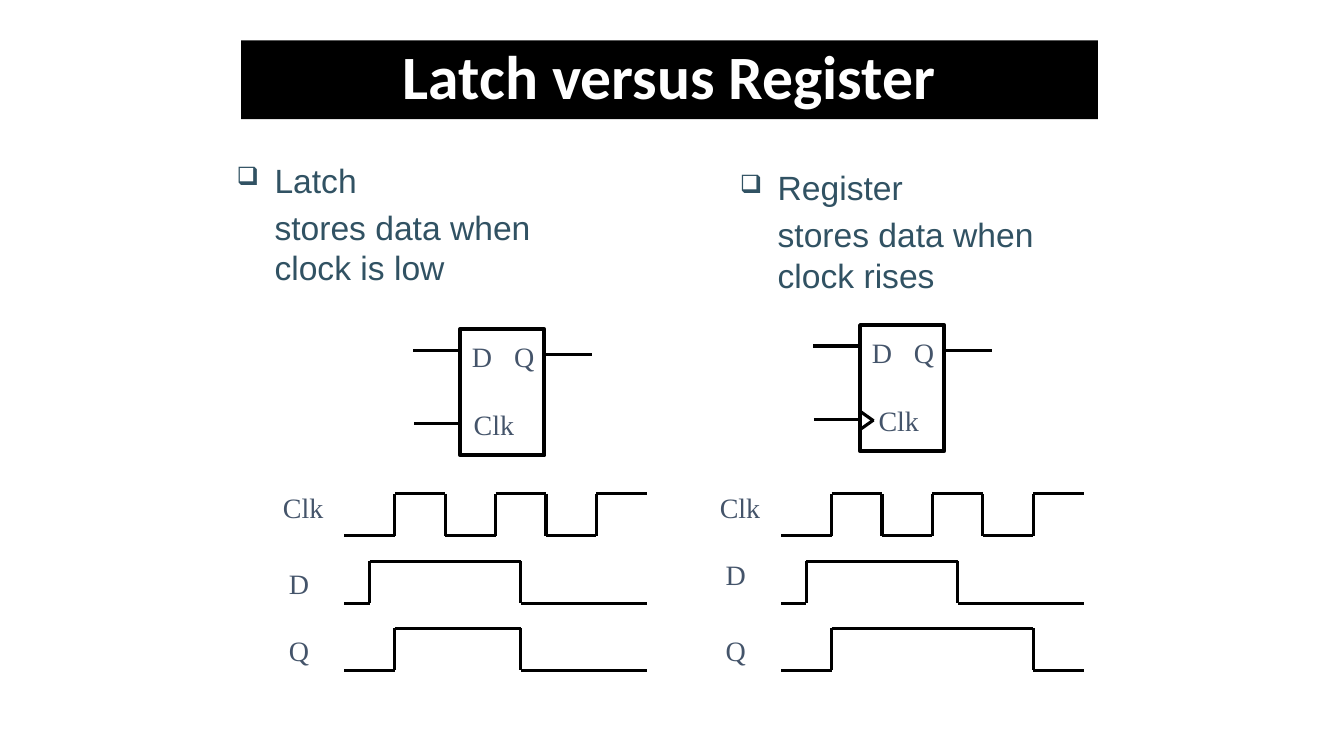
import dataclasses
import itertools

import lxml.etree
import pptx
import pptx.dml.color
import pptx.enum.shapes
import pptx.enum.text
import pptx.oxml.ns
import pptx.util

Pt = pptx.util.Pt
RGB = pptx.dml.color.RGBColor.from_string
ALIGN = pptx.enum.text.PP_ALIGN
ANCHOR = pptx.enum.text.MSO_ANCHOR
FIT = pptx.enum.text.MSO_AUTO_SIZE
qn = pptx.oxml.ns.qn


# Colours, fonts and line weights
@dataclasses.dataclass(frozen=True)
class Theme:
    ink: str = "000000"
    bullet: str = "315263"
    title: dict = dataclasses.field(default_factory=lambda: dict(
        name="Calibri", size=Pt(44), bold=True, color="FFFFFF"))
    body: dict = dataclasses.field(default_factory=lambda: dict(
        name="Arial", size=Pt(24), color="315263"))
    label: dict = dataclasses.field(default_factory=lambda: dict(
        name="Times New Roman", size=Pt(20), color="44546A"))
    wire: float = 2.25
    frame: float = 3


def apply(obj, **values):
    for key, value in values.items():
        setattr(obj, key, value)


class Deck:
    """Draws on one slide; lengths are columns and rows of a 160 x 90 grid."""

    COLS, ROWS = 160, 90

    def __init__(self, theme):
        self.theme = theme
        self.prs = pptx.Presentation()
        apply(self.prs, slide_width=pptx.util.Inches(13.33),
              slide_height=pptx.util.Inches(7.5))
        self.s = self.prs.slides.add_slide(self.prs.slide_layouts[6])

    def x(self, cols):
        return round(self.prs.slide_width * cols / self.COLS)

    def y(self, rows):
        return round(self.prs.slide_height * rows / self.ROWS)

    def area(self, col, row, cols, rows):
        return self.x(col), self.y(row), self.x(cols), self.y(rows)

    def add_text(self, p, text, style):
        for i, part in enumerate(text.splitlines()):
            if i:
                p.add_line_break()
            r = p.add_run()
            r.text = part
            for key, value in style.items():
                if key == "color":
                    r.font.color.rgb = RGB(value)
                else:
                    setattr(r.font, key, value)

    def rect(self, *area):
        sp = self.s.shapes.add_shape(
            pptx.enum.shapes.MSO_SHAPE.RECTANGLE, *self.area(*area))
        sp.shadow.inherit = False
        return sp

    def title(self, text, *area):
        sp = self.rect(*area)
        sp.fill.solid()
        sp.fill.fore_color.rgb = RGB(self.theme.ink)
        sp.line.fill.background()
        apply(sp.text_frame, vertical_anchor=ANCHOR.MIDDLE, word_wrap=True)
        p = sp.text_frame.paragraphs[0]
        apply(p, alignment=ALIGN.CENTER, line_spacing=0.9)
        self.add_text(p, text, self.theme.title)

    def frame(self, *area):
        sp = self.rect(*area)
        sp.fill.background()
        sp.line.color.rgb = RGB(self.theme.ink)
        sp.line.width = Pt(self.theme.frame)

    def label(self, text, col, row):
        cols = 8.2 if len(text) > 1 else 5.2
        tf = self.s.shapes.add_textbox(*self.area(col, row, cols, 5.2)).text_frame
        apply(tf, word_wrap=False, auto_size=FIT.SHAPE_TO_FIT_TEXT,
              vertical_anchor=ANCHOR.MIDDLE)
        p = tf.paragraphs[0]
        p.alignment = ALIGN.CENTER
        self.add_text(p, text, self.theme.label)

    def bullet(self, head, detail, *area):
        tf = self.s.shapes.add_textbox(*self.area(*area)).text_frame
        tf.word_wrap = True
        for p, text in ((tf.paragraphs[0], head), (tf.add_paragraph(), detail)):
            p.space_before = Pt(4.8)
            self.add_text(p, text, self.theme.body)
            pPr = p._p.get_or_add_pPr()
            pPr.set("marL", str(self.x(4.5)))
            pPr.set("indent", str(-self.x(4.5) if text == head else 0))
            if text == head:
                color = lxml.etree.SubElement(pPr, qn("a:buClr"))
                lxml.etree.SubElement(color, qn("a:srgbClr"), val=self.theme.bullet)
                lxml.etree.SubElement(pPr, qn("a:buSzPct"), val="75000")
                lxml.etree.SubElement(pPr, qn("a:buChar"), char="❑")

    def wire(self, x1, y1, x2, y2):
        sp = self.s.shapes.add_connector(
            pptx.enum.shapes.MSO_CONNECTOR.STRAIGHT,
            self.x(x1), self.y(y1), self.x(x2), self.y(y2))
        sp.line.color.rgb = RGB(self.theme.ink)
        sp.line.width = Pt(self.theme.wire)
        lxml.etree.SubElement(sp._element.spPr, qn("a:effectLst"))

    def symbol(self, col, row, clk, edge):
        self.frame(col, row, 10, 15)
        pins = [(-5.6, 2.5, 0, 2.5), (-5.5, 11.2, 0.1, 11.2), (10, 3, 15.7, 3)]
        if edge:
            pins += [(-0.1, 10.2, 1.6, 11.4), (-0.1, 12.5, 1.6, 11.3)]
        for x1, y1, x2, y2 in pins:
            self.wire(col + x1, row + y1, col + x2, row + y2)
        for text, dx, dy in (("D", 0, 0.6), ("Clk", clk, 8.7), ("Q", 5, 0.6)):
            self.label(text, col + dx, row + dy)

    def wave(self, levels, col, row, step=3, swing=5):
        """One letter a step: H is the top row, L is swing rows below."""
        last = None
        for level, run in itertools.groupby(levels):
            y = row if level == "H" else row + swing
            if last is not None:
                self.wire(col, last, col, y)
            end = col + step * len(list(run))
            self.wire(col, y, end, y)
            col, last = end, y


def main():
    d = Deck(Theme())
    d.title("Latch versus Register", 28.7, 4.8, 102, 9.4)

    # Definitions
    d.bullet("Latch", "stores data when \nclock is low", 27, 18.4, 54.5, 16)
    d.bullet("Register", "stores data when \nclock rises", 86.9, 19.3, 47.2, 16)

    # Circuit symbols
    d.symbol(54.8, 39.2, clk=-0.1, edge=False)
    d.symbol(102.4, 38.7, clk=0.5, edge=True)

    # Timing diagrams: left column, drop of the D label, Q levels
    for col, d_drop, q in ((32, 0, "LLHHHHHLLLLL"), (84, -1, "LLHHHHHHHHLL")):
        signals = (("Clk", 0, -1, "LLHH" * 3),
                   ("D", 1, d_drop, "LHHHHHHLLLLL"),
                   ("Q", 1, 0, q))
        for i, (name, dx, dy, levels) in enumerate(signals):
            top = 58.8 + 8 * i
            d.label(name, col + dx, top + dy)
            d.wave(levels, col + 9, top)

    d.prs.save("out.pptx")


if __name__ == "__main__":
    main()
